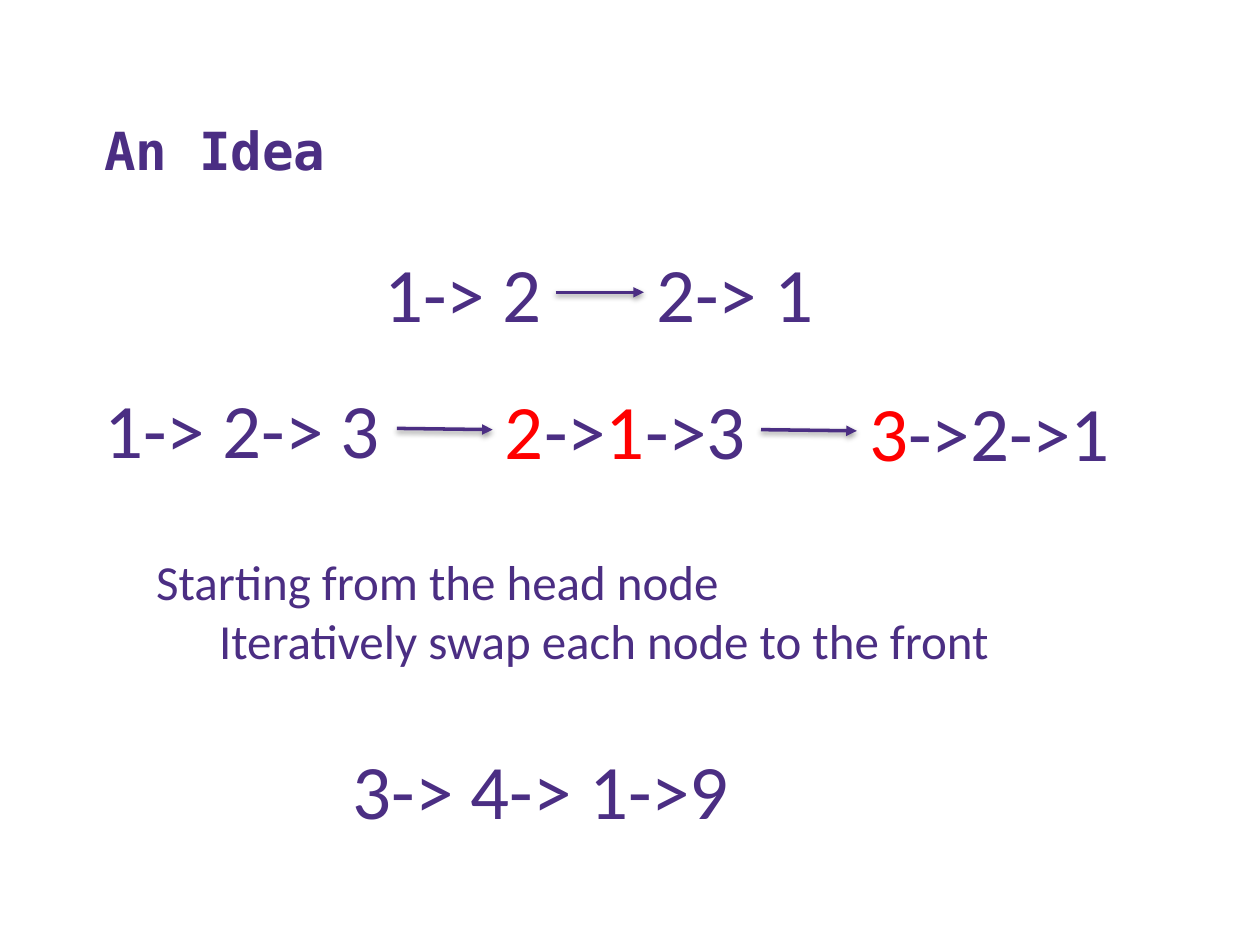
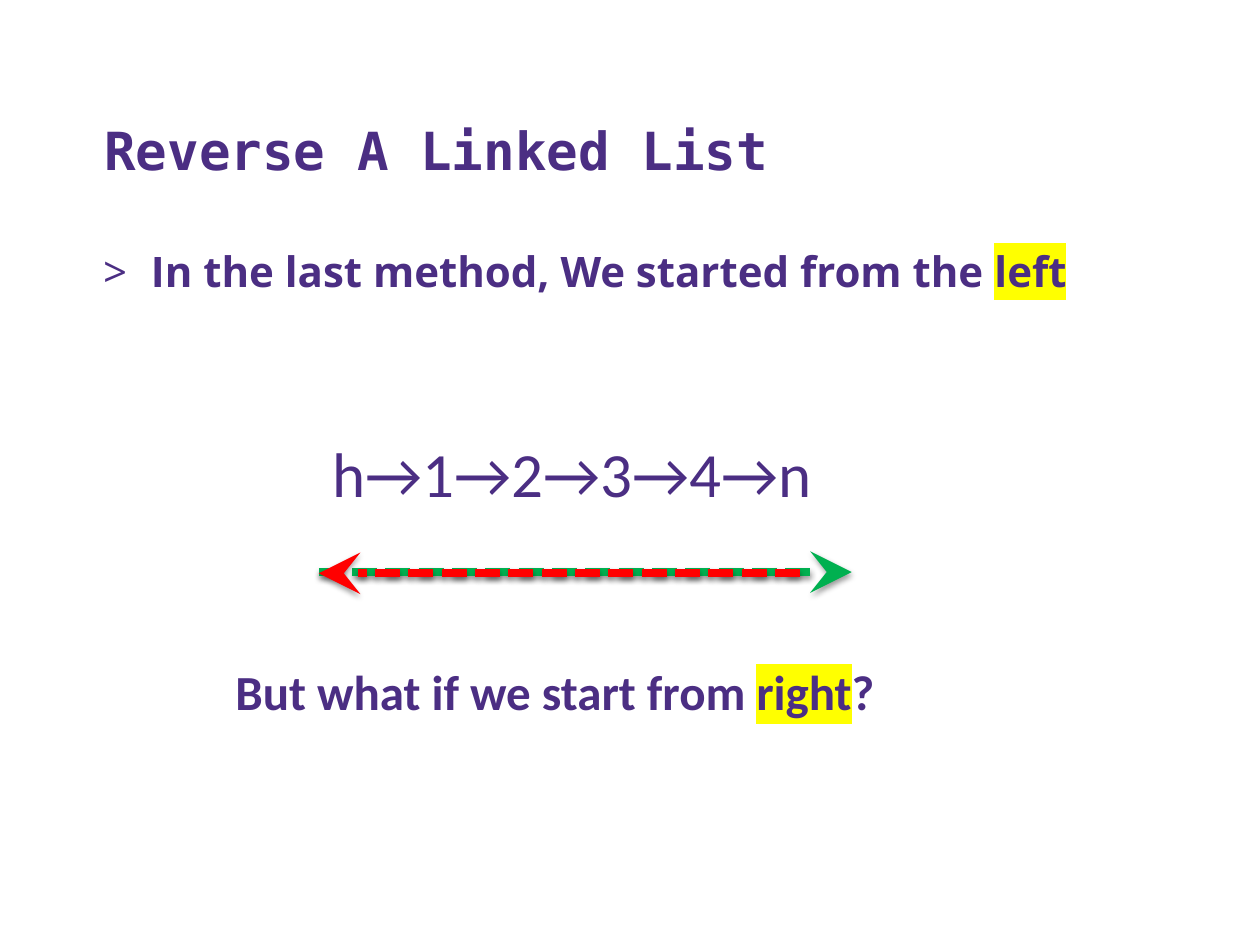
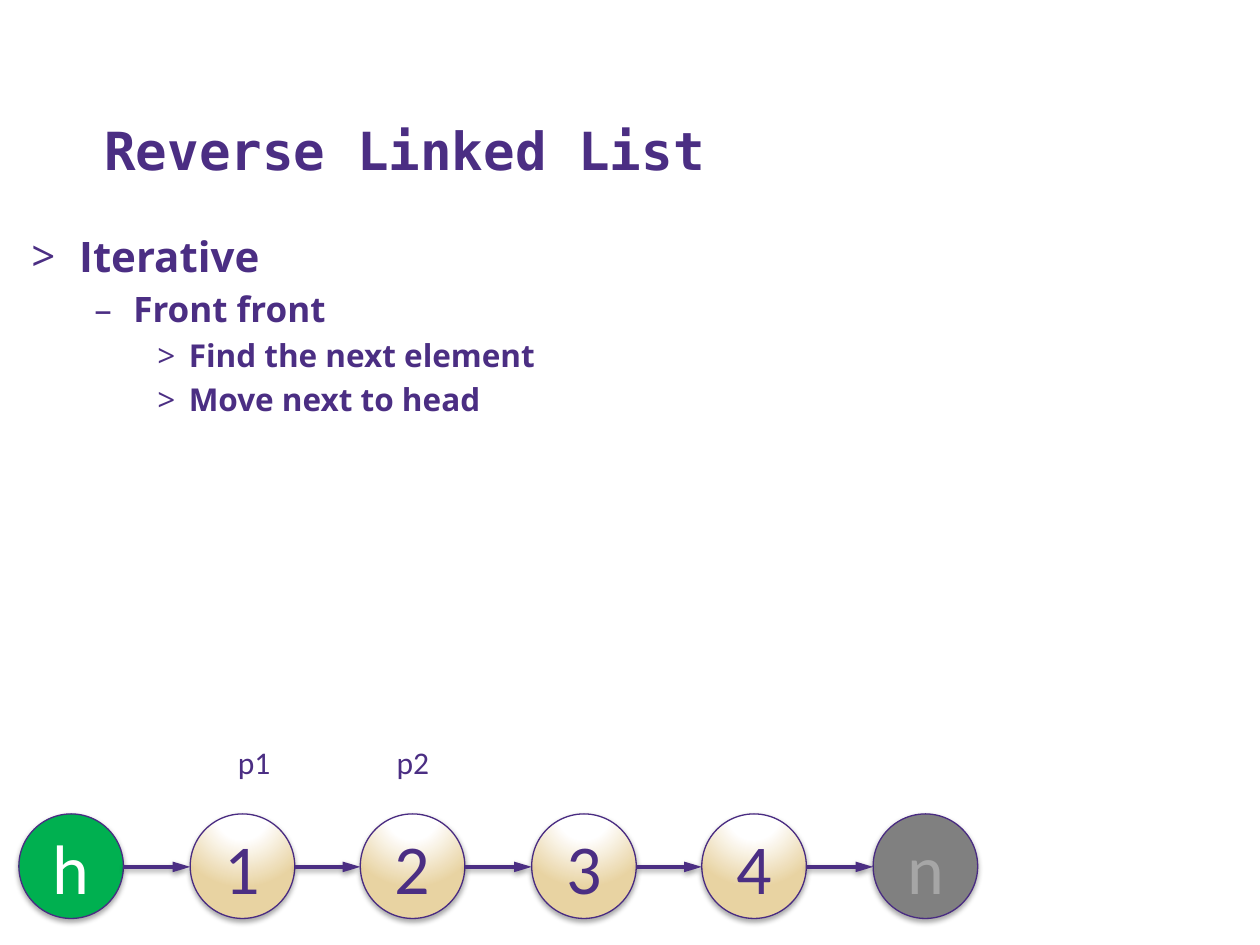
import dataclasses
import math
import typing

import lxml.etree
import pptx
import pptx.dml.color
import pptx.enum.dml
import pptx.enum.shapes
import pptx.enum.text
import pptx.oxml.ns
import pptx.slide
import pptx.text.text
import pptx.util

PX = 9144  # one hundred px to the inch


@dataclasses.dataclass(frozen=True)
class Theme:
    purple: str = "4B2E83"
    outline: str = "492B82"
    red: str = "FF0000"
    green: str = "00B050"
    sand: str = "E8D3A2"
    white: str = "FFFFFF"
    gray: str = "808080"
    light_gray: str = "A6A6A6"
    yellow: str = "FFFF00"
    black: str = "000000"
    title_font: str = "DejaVu Sans Mono"
    body_font: str = "Open Sans"
    label_font: str = "Calibri"
    title_size: int = 30
    body_sizes: tuple[int, ...] = (24, 20, 18)
    list_size: int = 44
    node_size: int = 40
    chain_size: int = 36
    remark_size: int = 28
    pointer_size: int = 18


THEME = Theme()


class Box(typing.NamedTuple):
    left: int
    top: int
    width: int
    height: int


class Span(typing.NamedTuple):
    text: str
    color: str = THEME.purple
    highlight: str = ""


class Label(typing.NamedTuple):
    box: Box
    spans: list[Span]
    size: int
    bold: bool = False


class Arrow(typing.NamedTuple):
    start: tuple[int, int]
    end: tuple[int, int]
    color: str = THEME.purple
    width: float = 2
    head: str = "triangle"
    head_width: str = "med"
    head_length: str = "med"
    dashed: bool = False


class Bullet(typing.NamedTuple):
    level: int
    spans: list[Span]


class BulletStyle(typing.NamedTuple):
    mark: str
    margin: int
    hang: int


class Node(typing.NamedTuple):
    text: str
    fill: str = ""
    color: str = THEME.purple


BULLET_STYLES = (BulletStyle(">", 38, 38), BulletStyle("–", 81, 31), BulletStyle(">", 125, 25))
TITLE_BOX = Box(73, 41, 895, 108)


def rgb(color: str) -> pptx.dml.color.RGBColor:
    return pptx.dml.color.RGBColor.from_string(color)


def add_element(parent: lxml.etree._Element, tag: str, **attributes: object) -> lxml.etree._Element:
    """Append a DrawingML element."""
    values = {name: str(value) for name, value in attributes.items()}
    return lxml.etree.SubElement(parent, pptx.oxml.ns.qn(f"a:{tag}"), values)


def style_run(run: pptx.text.text._Run, font: str, size: int, span: Span, bold: bool) -> None:
    run.font.name = font
    run.font.size = pptx.util.Pt(size)
    run.font.bold = bold
    run.font.color.rgb = rgb(span.color)
    if span.highlight:
        properties = run.font._element
        mark = add_element(properties, "highlight")
        add_element(mark, "srgbClr", val=span.highlight)
        properties.find(pptx.oxml.ns.qn("a:solidFill")).addnext(mark)


def write_spans(para: pptx.text.text._Paragraph, spans: list[Span], font: str,
                size: int, bold: bool = False) -> None:
    for span in spans:
        run = para.add_run()
        run.text = span.text
        style_run(run, font, size, span, bold)


def add_text_box(page: pptx.slide.Slide, box: Box) -> pptx.text.text.TextFrame:
    return page.shapes.add_textbox(*(PX * length for length in box)).text_frame


def add_title(page: pptx.slide.Slide, text: str) -> None:
    frame = add_text_box(page, TITLE_BOX)
    frame.word_wrap = True
    frame.vertical_anchor = pptx.enum.text.MSO_ANCHOR.BOTTOM
    frame.text = text
    style_run(frame.paragraphs[0].runs[0], THEME.title_font, THEME.title_size, Span(text), True)


def add_label(page: pptx.slide.Slide, label: Label) -> pptx.text.text.TextFrame:
    frame = add_text_box(page, label.box)
    frame.word_wrap = False
    frame.auto_size = pptx.enum.text.MSO_AUTO_SIZE.SHAPE_TO_FIT_TEXT
    write_spans(frame.paragraphs[0], label.spans, THEME.label_font, label.size, label.bold)
    return frame


def add_bullets(page: pptx.slide.Slide, box: Box, bullets: list[Bullet]) -> None:
    frame = add_text_box(page, box)
    frame.word_wrap = True
    for index, bullet in enumerate(bullets):
        para = frame.add_paragraph() if index else frame.paragraphs[0]
        para.level = bullet.level
        style = BULLET_STYLES[bullet.level]
        properties = para._p.get_or_add_pPr()
        properties.set("marL", str(style.margin * PX))
        properties.set("indent", str(-style.hang * PX))
        if index:
            add_element(add_element(properties, "spcBef"), "spcPct", val=20000)
        add_element(properties, "buFont", typeface=THEME.body_font)
        add_element(properties, "buChar", char=style.mark)
        write_spans(para, bullet.spans, THEME.body_font, THEME.body_sizes[bullet.level], True)


def add_shadow(properties: lxml.etree._Element, distance: int, opacity: int) -> None:
    """Cast a soft shadow straight down."""
    effects = add_element(properties, "effectLst")
    shadow = add_element(effects, "outerShdw", blurRad=40000, dist=distance,
                         dir=5400000, rotWithShape=0)
    color = add_element(shadow, "srgbClr", val=THEME.black)
    add_element(color, "alpha", val=opacity * 1000)


def add_arrow(page: pptx.slide.Slide, arrow: Arrow) -> None:
    ends = (PX * length for length in arrow.start + arrow.end)
    line = page.shapes.add_connector(pptx.enum.shapes.MSO_CONNECTOR.STRAIGHT, *ends)
    line.line.color.rgb = rgb(arrow.color)
    line.line.width = pptx.util.Pt(arrow.width)
    if arrow.dashed:
        line.line.dash_style = pptx.enum.dml.MSO_LINE.SQUARE_DOT
    properties = line._element.spPr
    add_element(properties.find(pptx.oxml.ns.qn("a:ln")), "tailEnd",
                type=arrow.head, w=arrow.head_width, len=arrow.head_length)
    add_shadow(properties, 20000, 38)


def fill_with_glow(properties: lxml.etree._Element) -> None:
    """Fill with white that turns to sand towards the bottom."""
    gradient = add_element(properties, "gradFill", rotWithShape=1)
    stops = add_element(gradient, "gsLst")
    for position, color in ((0, THEME.white), (35, THEME.white), (100, THEME.sand)):
        add_element(add_element(stops, "gs", pos=position * 1000), "srgbClr", val=color)
    center = add_element(gradient, "path", path="circle")
    add_element(center, "fillToRect", l=50000, t=-80000, r=50000, b=180000)


def add_node(page: pptx.slide.Slide, box: Box, node: Node) -> None:
    circle = page.shapes.add_shape(pptx.enum.shapes.MSO_SHAPE.OVAL,
                                   *(PX * length for length in box))
    if node.fill:
        circle.fill.solid()
        circle.fill.fore_color.rgb = rgb(node.fill)
    else:
        fill_with_glow(circle._element.spPr)
    circle.line.color.rgb = rgb(THEME.outline)
    circle.line.width = pptx.util.Pt(0.75)
    add_shadow(circle._element.spPr, 23000, 35)
    frame = circle.text_frame
    frame.vertical_anchor = pptx.enum.text.MSO_ANCHOR.MIDDLE
    frame.text = node.text
    para = frame.paragraphs[0]
    para.alignment = pptx.enum.text.PP_ALIGN.CENTER
    style_run(para.runs[0], THEME.label_font, THEME.node_size, Span(node.text, node.color), False)


def build_idea(page: pptx.slide.Slide) -> None:
    add_title(page, "An Idea")
    red = THEME.red
    lists = (
        (Box(295, 190, 146, 84), [Span("1-> 2")]),
        (Box(73, 298, 241, 84), [Span("1-> 2-> 3")]),
        (Box(511, 190, 146, 84), [Span("2-> 1")]),
        (Box(391, 299, 213, 84), [Span("2", red), Span("->"), Span("1", red), Span("->3")]),
        (Box(680, 300, 213, 84), [Span("3", red), Span("->2->1")]),
        (Box(270, 584, 322, 84), [Span("3-> 4-> 1->9")]),
    )
    for box, spans in lists:
        add_label(page, Label(box, spans, THEME.list_size))
    for start, end in (((315, 340), (391, 341)), ((604, 341), (680, 342)),
                       ((441, 232), (511, 232))):
        add_arrow(page, Arrow(start, end))
    steps = add_label(page, Label(Box(114, 433, 697, 104), [Span("Starting from the head node")],
                                  THEME.remark_size))
    para = steps.add_paragraph()
    para._p.get_or_add_pPr().set("marL", str(50 * PX))
    write_spans(para, [Span("Iteratively swap each node to the front")],
                THEME.label_font, THEME.remark_size)


def build_direction(page: pptx.slide.Slide) -> None:
    add_bullets(page, Box(72, 190, 896, 439), [
        Bullet(0, [Span("In the last method, We started from the "),
                   Span("left", highlight=THEME.yellow)]),
    ])
    add_title(page, "Reverse A Linked List")
    add_label(page, Label(Box(254, 340, 423, 71), [Span("h→1→2→3→4→n")], THEME.chain_size))
    question = [Span("But what if we start from "), Span("right", highlight=THEME.yellow),
                Span("?")]
    add_label(page, Label(Box(177, 520, 534, 57), question, THEME.remark_size, bold=True))
    for start, end, color in (((253, 454), (676, 454), THEME.green),
                              ((635, 455), (253, 455), THEME.red)):
        add_arrow(page, Arrow(start, end, color, 4.75, "stealth", "lg", "lg", dashed=True))


def build_iterative(page: pptx.slide.Slide) -> None:
    add_bullets(page, Box(15, 178, 896, 439), [
        Bullet(0, [Span("Iterative")]),
        Bullet(1, [Span("Front front")]),
        Bullet(2, [Span("Find the next element")]),
        Bullet(2, [Span("Move next to head")]),
    ])
    add_title(page, "Reverse Linked List")
    nodes = [Node("h", THEME.green, THEME.white), *(Node(digit) for digit in "1234"),
             Node("n", THEME.gray, THEME.light_gray)]
    top, diameter, pitch, middle = 646, 83, 135.5, 688
    lefts = [15 + math.ceil(pitch * index) for index in range(len(nodes))]
    for left, node in zip(lefts, nodes):
        add_node(page, Box(left, top, diameter, diameter), node)
    for left, following in zip(lefts, lefts[1:]):
        add_arrow(page, Arrow((left + diameter, middle), (following, middle), head_length="lg"))
    for left, name in ((179, "p1"), (305, "p2")):
        add_label(page, Label(Box(left, 585, 46, 40), [Span(name)], THEME.pointer_size))


def main() -> None:
    deck = pptx.Presentation()
    deck.slide_width = 1000 * PX
    deck.slide_height = 750 * PX
    blank = deck.slide_layouts[6]
    for build in (build_idea, build_direction, build_iterative):
        build(deck.slides.add_slide(blank))
    deck.save("out.pptx")


if __name__ == "__main__":
    main()
